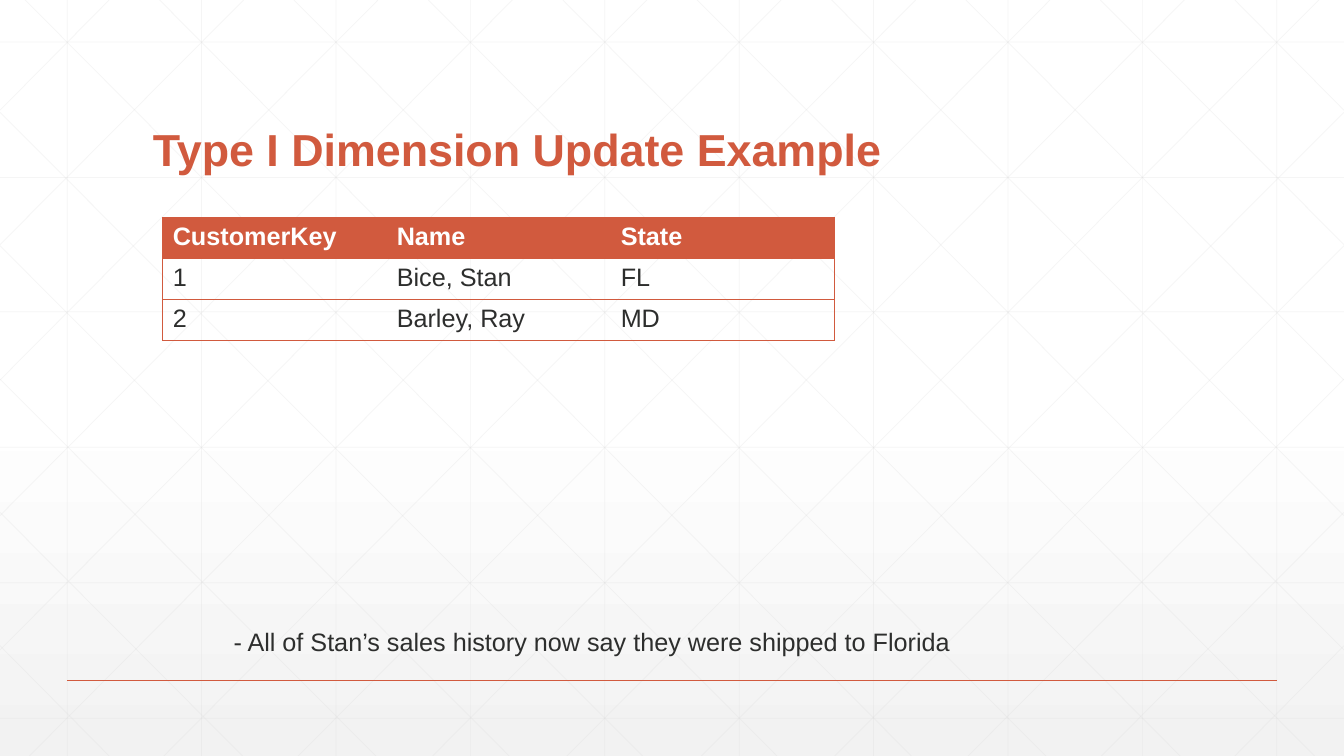
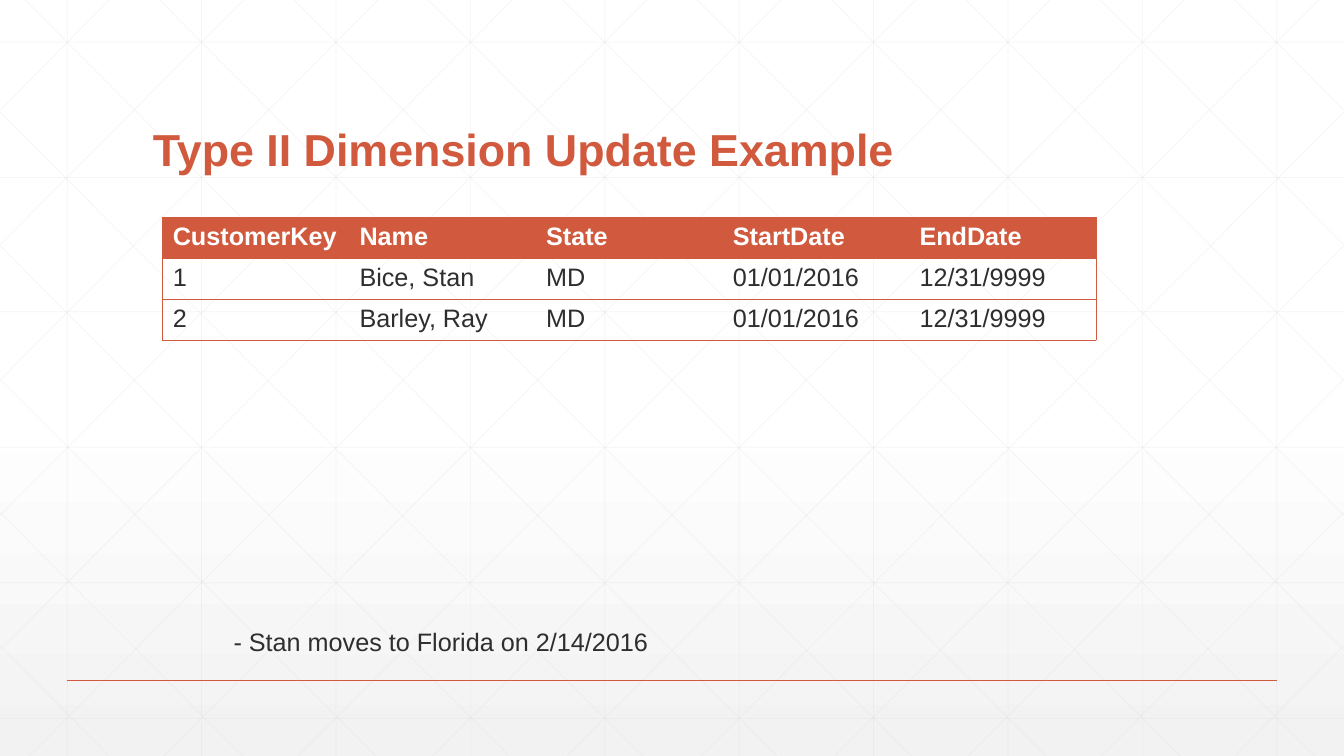
from pptx import Presentation
from pptx.dml.color import RGBColor
from pptx.enum.shapes import MSO_CONNECTOR as CONN
from pptx.enum.text import MSO_ANCHOR as ANCHOR, MSO_AUTO_SIZE as AUTO, PP_ALIGN as ALIGN
from pptx.oxml import parse_xml
from pptx.oxml.ns import nsdecls, qn
from pptx.util import Pt
from lxml.etree import SubElement

W, H = 1280, 720
ACCENT, INK, WHITE, GRID = "D15A3E", "2D2E2D", "FFFFFF", "D9D9D9"


def px(n):
    return round(n * 9525)


def rgb(value):
    return RGBColor.from_string(value)


def grid_lines():
    """Return the end points of the upright, level and slanted grid lines."""
    lines = [(x, 0, x, H) for x in range(64, W, 128)]
    lines += [(0, y, W, y) for y in (round(40 + 128.7 * k) for k in range(6))]
    run = 716
    slanted = []
    for x in range(24, W, 128):
        end = min(x + run, W)
        slanted.append((x, 0, end, round((end - x) * H / run)))
    slanted += [(612 - 127 * k, H, 0, 107 + 127 * k) for k in range(5)]
    mirrored = [(W - x1, y1, W - x2, y2) for x1, y1, x2, y2 in slanted]
    return lines + slanted + mirrored


class Deck:
    FONT = "Arial"

    def __init__(self):
        self.prs = Presentation()
        self.prs.slide_width, self.prs.slide_height = px(W), px(H)
        self.layout = self.prs.slide_layouts.get_by_name("Title Only")
        self.s = None
        self.background()

    def background(self):
        stops = "".join(
            f'<a:gs pos="{pos}"><a:srgbClr val="{color}"/></a:gs>'
            for pos, color in ((0, WHITE), (53000, WHITE), (100000, "F2F2F2")))
        self.layout.element.cSld.insert(0, parse_xml(
            f'<p:bg {nsdecls("p", "a")}><p:bgPr><a:gradFill rotWithShape="1">'
            f'<a:gsLst>{stops}</a:gsLst><a:lin ang="5400000" scaled="0"/>'
            '</a:gradFill><a:effectLst/></p:bgPr></p:bg>'))

    def slide(self, title):
        first = self.s is None
        self.s = self.prs.slides.add_slide(self.layout)
        if first:
            self.backdrop()
        self.title(title)

    def backdrop(self):
        """Draw the grid and footer rule, then move them to the shared layout."""
        grid = self.s.shapes.add_group_shape()
        for ends in grid_lines():
            self.line(grid.shapes, ends, GRID, 0.5, alpha=25)
        rule = self.line(self.s.shapes, (64, 648, 1216, 648), ACCENT, 1)
        tree = self.layout.shapes.element
        for shape in (grid, rule):
            tree.append(shape.element)
        for number, props in enumerate(tree.iter(qn("p:cNvPr")), 1):
            props.set("id", str(number))

    def line(self, shapes, ends, color, width, alpha=None):
        c = shapes.add_connector(CONN.STRAIGHT, *map(px, ends))
        c.line.color.rgb = rgb(color)
        c.line.width = Pt(width)
        props = c.element.spPr
        SubElement(props, qn("a:effectLst"))
        if alpha is not None:
            tone = next(props.iter(qn("a:srgbClr")))
            SubElement(tone, qn("a:alpha")).set("val", str(alpha * 1000))
        return c

    def format(self, tf, size, color, bold=False):
        for p in tf.paragraphs:
            p.alignment = ALIGN.LEFT
            for r in p.runs:
                r.font.name, r.font.size, r.font.bold = self.FONT, Pt(size), bold
                r.font.color.rgb = rgb(color)

    def title(self, text):
        sp = self.s.shapes.title
        sp.left, sp.top, sp.width, sp.height = map(px, (136, 53, 1008, 120))
        tf = sp.text_frame
        tf.text = text
        tf.vertical_anchor, tf.auto_size = ANCHOR.BOTTOM, AUTO.NONE
        tf.paragraphs[0].line_spacing = 0.9
        self.format(tf, 32, ACCENT, bold=True)

    def table(self, width, rows):
        cols = len(rows[0])
        frame = self.s.shapes.add_table(
            len(rows), cols, px(155), px(207), px(width), px(39 * len(rows)))
        table = frame.table
        table.horz_banding = False
        for i, row in enumerate(rows):
            for j, text in enumerate(row):
                cell = table.cell(i, j)
                cell.text = text
                header = i == 0
                self.format(cell.text_frame, 18, WHITE if header else INK, header)
                if header:
                    cell.fill.solid()
                    cell.fill.fore_color.rgb = rgb(ACCENT)
                else:
                    cell.fill.background()
                self.borders(cell, left=j == 0, right=j == cols - 1)

    def borders(self, cell, left, right):
        """Rule the cell above and below, and at the sides only where asked."""
        props = cell._tc.get_or_add_tcPr()
        sides = (("L", left), ("R", right), ("T", True), ("B", True))
        for at, (side, drawn) in enumerate(sides):
            fill = (f'<a:solidFill><a:srgbClr val="{ACCENT}"/></a:solidFill>'
                    if drawn else "<a:noFill/>")
            props.insert(at, parse_xml(
                f'<a:ln{side} {nsdecls("a")} w="{Pt(0.5)}">{fill}</a:ln{side}>'))

    def note(self, width, text):
        box = self.s.shapes.add_textbox(px(213), px(592), px(width), px(38))
        tf = box.text_frame
        tf.text = text
        tf.word_wrap, tf.auto_size = False, AUTO.SHAPE_TO_FIT_TEXT
        self.format(tf, 18, INK)


def main():
    deck = Deck()

    deck.slide("Type I Dimension Update Example")
    deck.table(640, [
        ("CustomerKey", "Name", "State"),
        ("1", "Bice, Stan", "FL"),
        ("2", "Barley, Ray", "MD"),
    ])
    deck.note(716, "- All of Stan’s sales history now say they were shipped to Florida")

    deck.slide("Type II Dimension Update Example")
    deck.table(889, [
        ("CustomerKey", "Name", "State", "StartDate", "EndDate"),
        ("1", "Bice, Stan", "MD", "01/01/2016", "12/31/9999"),
        ("2", "Barley, Ray", "MD", "01/01/2016", "12/31/9999"),
    ])
    deck.note(418, "- Stan moves to Florida on 2/14/2016")

    deck.prs.save("out.pptx")


if __name__ == "__main__":
    main()
